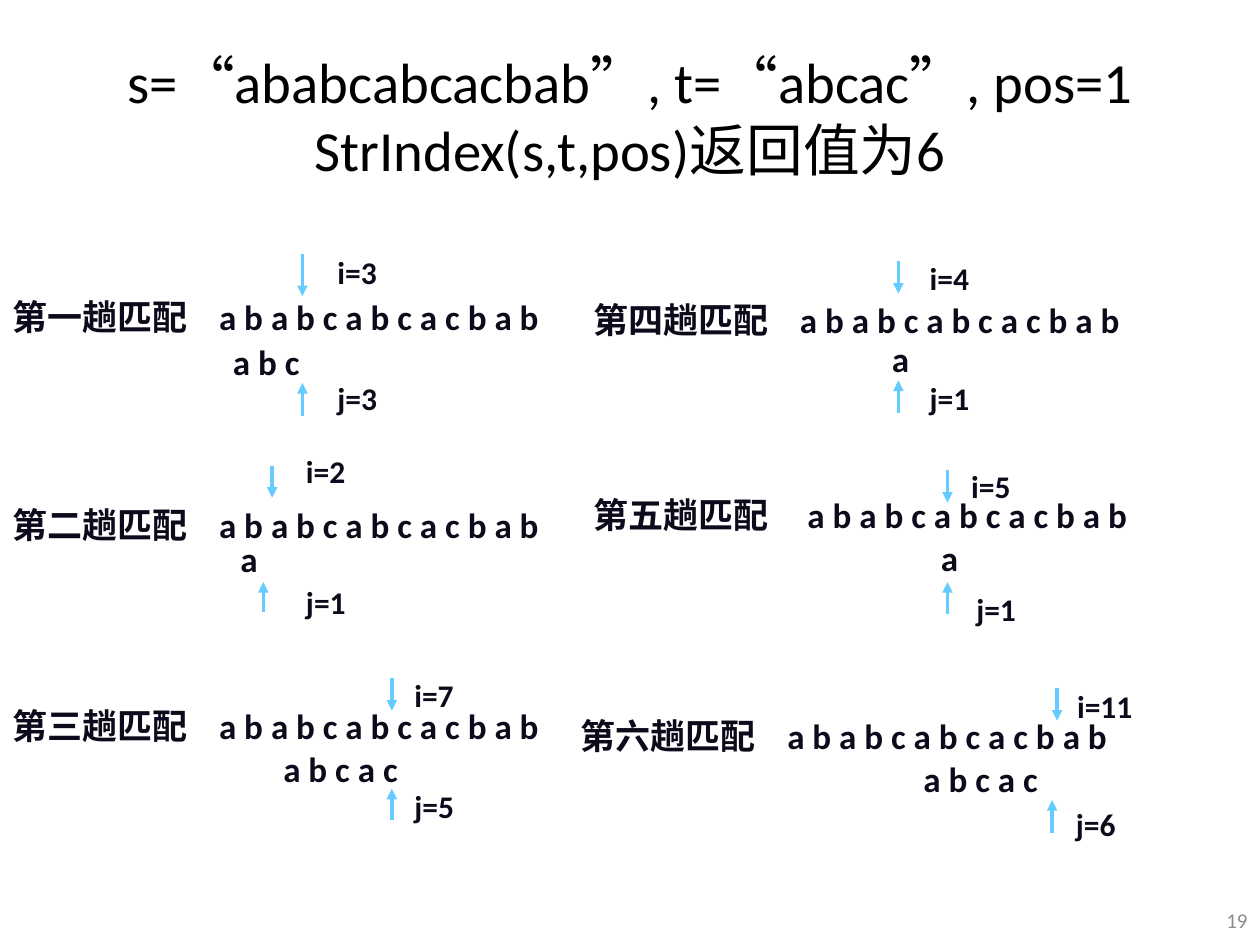
"""Build a slide tracing six passes of naive string matching."""
from lxml.etree import SubElement
from pptx import Presentation
from pptx.dml.color import RGBColor
from pptx.enum.lang import MSO_LANGUAGE_ID as Lang
from pptx.enum.shapes import MSO_CONNECTOR as Connector
from pptx.enum.text import MSO_ANCHOR as Anchor, PP_ALIGN as Align
from pptx.oxml.ns import qn
from pptx.util import Inches, Pt

BLACK = RGBColor(0x00, 0x00, 0x00)
GREY = RGBColor(0x8C, 0x8C, 0x8C)
INK = RGBColor(0x0D, 0x0B, 0x1B)
SKY = RGBColor(0x66, 0xCC, 0xFF)

HEADING = "s=“ababcabcacbab”, t=“abcac”, pos=1\vStrIndex(s,t,pos)返回值为6"
PAGE = "19"
MAIN_STRING = "a b a b c a b c a c b a b"
STRING_TAB, SPACE = 1.64, 0.06
ROW_WIDTH, ROW_HEIGHT, INDEX_HEIGHT = 6.32, 0.43, 0.4

PASSES = [
    {"row": ("第一趟匹配", 0, 2.3, 0), "pattern": ("a b c", 1.69, 2.65, 1.49, 1),
     "i": ("i=3", 2.58, 1.96, 0.72), "j": ("j=3", 2.58, 2.96, 1.17),
     "arrows": [(2.4, 2.02, 2.35), (2.4, 3.3, 3.04)]},
    {"row": ("第二趟匹配", 0, 3.95, 0), "pattern": ("a", 1.69, 4.22, 1.23, 2),
     "i": ("i=2", 2.33, 3.54, 0.72), "j": ("j=1", 2.33, 4.58, 0.81),
     "arrows": [(2.16, 3.7, 3.95), (2.09, 4.86, 4.62)]},
    {"row": ("第三趟匹配", 0, 5.54, 0), "pattern": ("a b c a c", 2.09, 5.88, 1.81, 1),
     "i": ("i=7", 3.19, 5.32, 0.72), "j": ("j=5", 3.19, 6.2, 0.72),
     "arrows": [(3.11, 5.38, 5.64), (3.11, 6.51, 6.26)]},
    {"row": ("第四趟匹配", 4.61, 2.32, 0), "pattern": ("a", 6.92, 2.63, 1.62, 1),
     "i": ("i=4", 7.28, 2.01, 0.72), "j": ("j=1", 7.28, 2.96, 1.17),
     "arrows": [(7.13, 2.07, 2.33), (7.13, 3.28, 3.02)]},
    {"row": ("第五趟匹配", 4.61, 3.87, 1), "pattern": ("a", 7.31, 4.21, 1.62, 1),
     "i": ("i=5", 7.61, 3.66, 0.72), "j": ("j=1", 7.65, 4.63, 1.17),
     "arrows": [(7.52, 3.73, 3.99), (7.52, 4.87, 4.62)]},
    {"row": ("第六趟匹配", 4.51, 5.62, 0), "pattern": ("a b c a c", 7.23, 5.96, 1.62, 0),
     "i": ("i=11", 8.45, 5.4, 0.88), "j": ("j=6", 8.44, 6.34, 1.17),
     "arrows": [(8.39, 5.46, 5.72), (8.35, 6.61, 6.35)]},
]

HEADING_FONT = {"size": Pt(32.4), "language_id": Lang.SIMPLIFIED_CHINESE}
PAGE_FONT = {"size": Pt(12)}
ROW_FONT = {"size": Pt(20), "bold": True}
INDEX_FONT = {"size": Pt(18), "bold": True}


def add_text(slide, words, box, font, color=INK, align=Align.LEFT, anchor=Anchor.TOP):
    frame = slide.shapes.add_textbox(*map(Inches, box)).text_frame
    frame.word_wrap = True
    frame.vertical_anchor = anchor
    paragraph = frame.paragraphs[0]
    paragraph.text = words
    paragraph.alignment = align
    for run in paragraph.runs:
        for key, value in {"name": "Calibri", **font}.items():
            setattr(run.font, key, value)
        run.font.color.rgb = color
    return paragraph


def add_arrow(slide, x, start, end):
    arrow = slide.shapes.add_connector(
        Connector.STRAIGHT, *map(Inches, (x, start, x, end)))
    arrow.line.color.rgb = SKY
    arrow.line.width = Pt(2)
    SubElement(arrow.line._get_or_add_ln(), qn("a:tailEnd"), type="triangle")
    SubElement(arrow._element.spPr, qn("a:effectLst"))


def add_pass(slide, match):
    name, left, top, spaces = match["row"]
    row = add_text(slide, f"{name}\t{MAIN_STRING}",
                   (left, top, ROW_WIDTH, ROW_HEIGHT), ROW_FONT)
    stops = SubElement(row._p.get_or_add_pPr(), qn("a:tabLst"))
    SubElement(stops, qn("a:tab"), algn="l",
               pos=str(Inches(STRING_TAB + spaces * SPACE)))

    pattern, *place, spaces = match["pattern"]
    aligned = add_text(slide, pattern, (*place, ROW_HEIGHT), ROW_FONT)
    aligned._p.get_or_add_pPr().set("marL", str(Inches(spaces * SPACE)))

    for index, *place in (match["i"], match["j"]):
        add_text(slide, index, (*place, INDEX_HEIGHT), INDEX_FONT)
    for arrow in match["arrows"]:
        add_arrow(slide, *arrow)


def main():
    deck = Presentation()
    deck.slide_width, deck.slide_height = Inches(10), Inches(7.5)
    slide = deck.slides.add_slide(deck.slide_layouts[6])
    add_text(slide, HEADING, (0.5, 0.27, 9, 1.28), HEADING_FONT,
             BLACK, Align.CENTER, Anchor.MIDDLE)
    add_text(slide, PAGE, (9.57, 7.1, 0.43, 0.4), PAGE_FONT,
             GREY, Align.RIGHT, Anchor.MIDDLE)
    for match in PASSES:
        add_pass(slide, match)
    deck.save("out.pptx")


if __name__ == "__main__":
    main()
